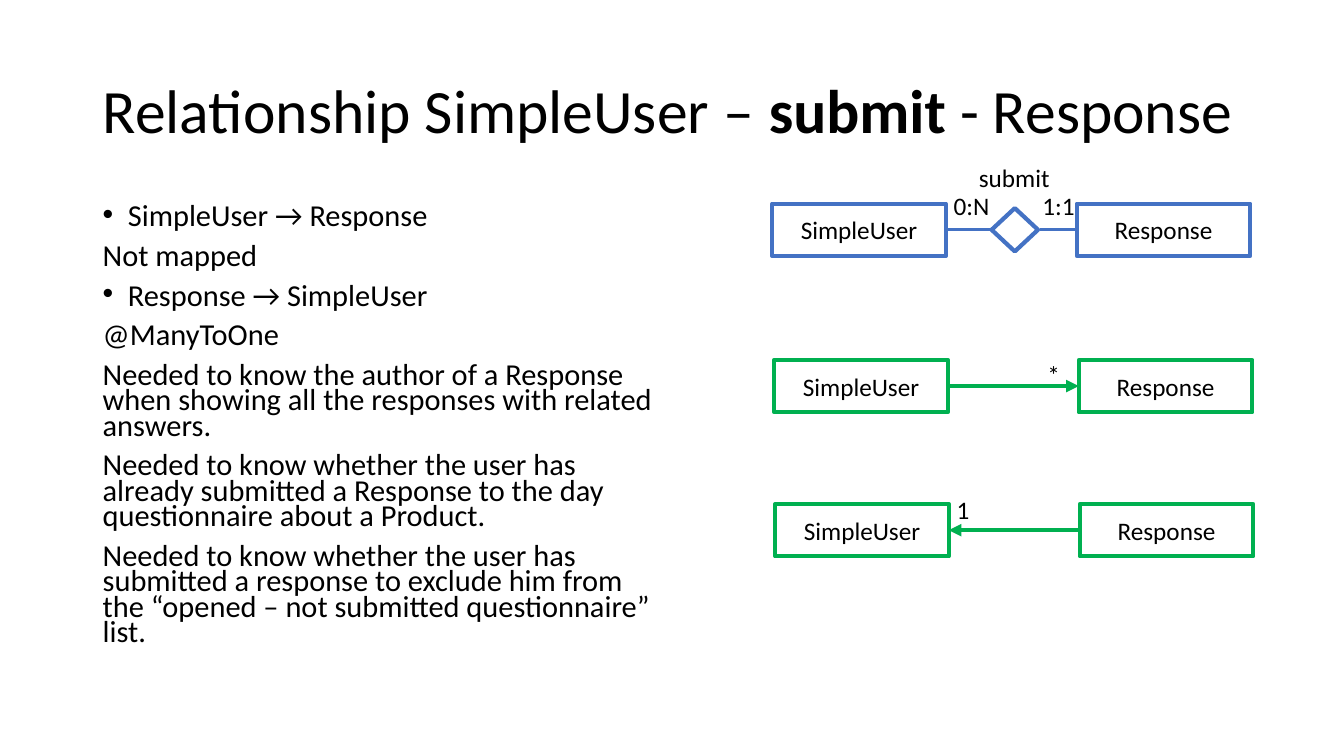
import pptx
import pptx.dml.color
import pptx.enum.shapes
import pptx.enum.text
import pptx.oxml.ns
import pptx.util
from pptx.util import Inches

BLACK = pptx.dml.color.RGBColor(0x00, 0x00, 0x00)
WHITE = pptx.dml.color.RGBColor(0xFF, 0xFF, 0xFF)
BLUE = pptx.dml.color.RGBColor(0x44, 0x72, 0xC4)
GREEN = pptx.dml.color.RGBColor(0x00, 0xB0, 0x50)
FONT = "Calibri"
ENTITY_WIDTH, ENTITY_HEIGHT, ENTITY_PITCH = 1.72, 0.52, 3.02

BODY = [
    ("SimpleUser → Response", True),
    ("Not mapped", False),
    ("Response → SimpleUser", True),
    ("@ManyToOne", False),
    ("Needed to know the author of a Response when showing all the responses with related answers.", False),
    ("Needed to know whether the user has already submitted a Response to the day questionnaire "
     "about a Product.", False),
    ("Needed to know whether the user has submitted a response to exclude him from the "
     "“opened – not submitted questionnaire” list.", False),
]


def format_run(run, size, bold=False):
    """Apply the slide's font to a run."""
    run.font.name = FONT
    run.font.size = pptx.util.Pt(size)
    run.font.bold = bold
    run.font.color.rgb = BLACK


def add_title(slide, left, top, width, height):
    """Place the title with its middle word in bold."""
    title = slide.shapes.title
    title.left, title.top, title.width, title.height = map(Inches, (left, top, width, height))
    frame = title.text_frame
    frame.auto_size = pptx.enum.text.MSO_AUTO_SIZE.NONE
    frame.vertical_anchor = pptx.enum.text.MSO_ANCHOR.MIDDLE
    paragraph = frame.paragraphs[0]
    paragraph.alignment = pptx.enum.text.PP_ALIGN.LEFT
    paragraph.line_spacing = 0.9
    for text, bold in (("Relationship SimpleUser – ", False), ("submit", True), (" - Response", False)):
        run = paragraph.add_run()
        run.text = text
        format_run(run, 44, bold)


def add_body(slide, left, top, width, height):
    """Write the mapping notes, with bullets on the two directions."""
    box = slide.shapes.add_textbox(*map(Inches, (left, top, width, height)))
    frame = box.text_frame
    frame.word_wrap = True
    frame.text = "\n".join(text for text, bulleted in BODY)
    for paragraph, (text, bulleted) in zip(frame.paragraphs, BODY):
        paragraph.line_spacing = 0.7
        paragraph.space_before = pptx.util.Pt(10)
        format_run(paragraph.runs[0], 21.7)
        if bulleted:
            properties = paragraph._p.get_or_add_pPr()
            properties.set("marL", str(Inches(0.25)))
            properties.set("indent", str(-Inches(0.25)))
            for tag, name, value in (("a:buFont", "typeface", "Arial"), ("a:buChar", "char", "•")):
                bullet = pptx.oxml.parse_xml(f'<{tag} {pptx.oxml.ns.nsdecls("a")} {name}="{value}"/>')
                properties.append(bullet)


def add_outline(slide, kind, left, top, width, height, color):
    """Add a white shape with a coloured outline."""
    shape = slide.shapes.add_shape(kind, *map(Inches, (left, top, width, height)))
    shape.shadow.inherit = False
    shape.fill.solid()
    shape.fill.fore_color.rgb = WHITE
    shape.line.color.rgb = color
    shape.line.width = pptx.util.Pt(3)
    return shape


def add_entities(slide, left, top, color):
    """Add the SimpleUser and Response boxes of one row."""
    for index, name in enumerate(("SimpleUser", "Response")):
        entity = add_outline(slide, pptx.enum.shapes.MSO_SHAPE.RECTANGLE, left + index * ENTITY_PITCH,
                             top, ENTITY_WIDTH, ENTITY_HEIGHT, color)
        frame = entity.text_frame
        frame.text = name
        frame.vertical_anchor = pptx.enum.text.MSO_ANCHOR.MIDDLE
        frame.paragraphs[0].alignment = pptx.enum.text.PP_ALIGN.CENTER
        format_run(frame.paragraphs[0].runs[0], 18)


def add_label(slide, text, left, top, width):
    """Add an unwrapped label."""
    label = slide.shapes.add_textbox(*map(Inches, (left, top, width, 0.4)))
    label.text_frame.word_wrap = False
    label.text_frame.text = text
    format_run(label.text_frame.paragraphs[0].runs[0], 18)


def add_line(slide, start, end, y, color, weight, arrow=False):
    """Draw a level line, optionally with an arrowhead at its end."""
    line = slide.shapes.add_connector(pptx.enum.shapes.MSO_CONNECTOR.STRAIGHT,
                                      *map(Inches, (start, y, end, y)))
    line.line.color.rgb = color
    line.line.width = pptx.util.Pt(weight)
    namespace = pptx.oxml.ns.nsdecls("a")
    if arrow:
        line.line._get_or_add_ln().append(pptx.oxml.parse_xml(f'<a:tailEnd {namespace} type="triangle"/>'))
    line._element.spPr.append(pptx.oxml.parse_xml(f"<a:effectLst {namespace}/>"))


def add_relationship(slide, left, top):
    """Draw the entity-relationship row with its diamond and cardinalities."""
    add_entities(slide, left, top, BLUE)
    middle = top + ENTITY_HEIGHT / 2
    diamond = add_outline(slide, pptx.enum.shapes.MSO_SHAPE.DIAMOND, left + 2.19, top + 0.03, 0.43, 0.46, BLUE)
    diamond.rotation = 90
    add_line(slide, left + ENTITY_WIDTH, left + 2.17, middle, BLUE, 2.25)
    add_line(slide, left + 2.66, left + ENTITY_PITCH, middle, BLUE, 2.25)
    add_label(slide, "0:N", left + 1.7, top - 0.18, 0.56)
    add_label(slide, "1:1", left + 2.58, top - 0.18, 0.53)
    add_label(slide, "submit", left + 1.95, top - 0.46, 0.91)


def add_mapping(slide, left, top, label, label_left, label_top, forward):
    """Draw one mapping direction as an arrow between the entities."""
    add_entities(slide, left, top, GREEN)
    ends = (left + ENTITY_WIDTH, left + ENTITY_PITCH)
    start, end = ends if forward else reversed(ends)
    add_line(slide, start, end, top + ENTITY_HEIGHT / 2, GREEN, 3, arrow=True)
    add_label(slide, label, left + label_left, top + label_top, 0.33)


def main():
    """Build and save the slide."""
    presentation = pptx.Presentation()
    presentation.slide_width, presentation.slide_height = Inches(13.33), Inches(7.5)
    slide = presentation.slides.add_slide(presentation.slide_layouts.get_by_name("Title Only"))
    add_title(slide, 0.92, 0.4, 11.5, 1.45)
    add_body(slide, 0.92, 2, 5.67, 4.76)
    add_relationship(slide, 7.66, 2.02)
    add_mapping(slide, 7.68, 3.57, "*", 2.61, -0.05, forward=True)
    add_mapping(slide, 7.69, 5, "1", 1.7, -0.14, forward=False)
    presentation.save("out.pptx")


if __name__ == "__main__":
    main()
